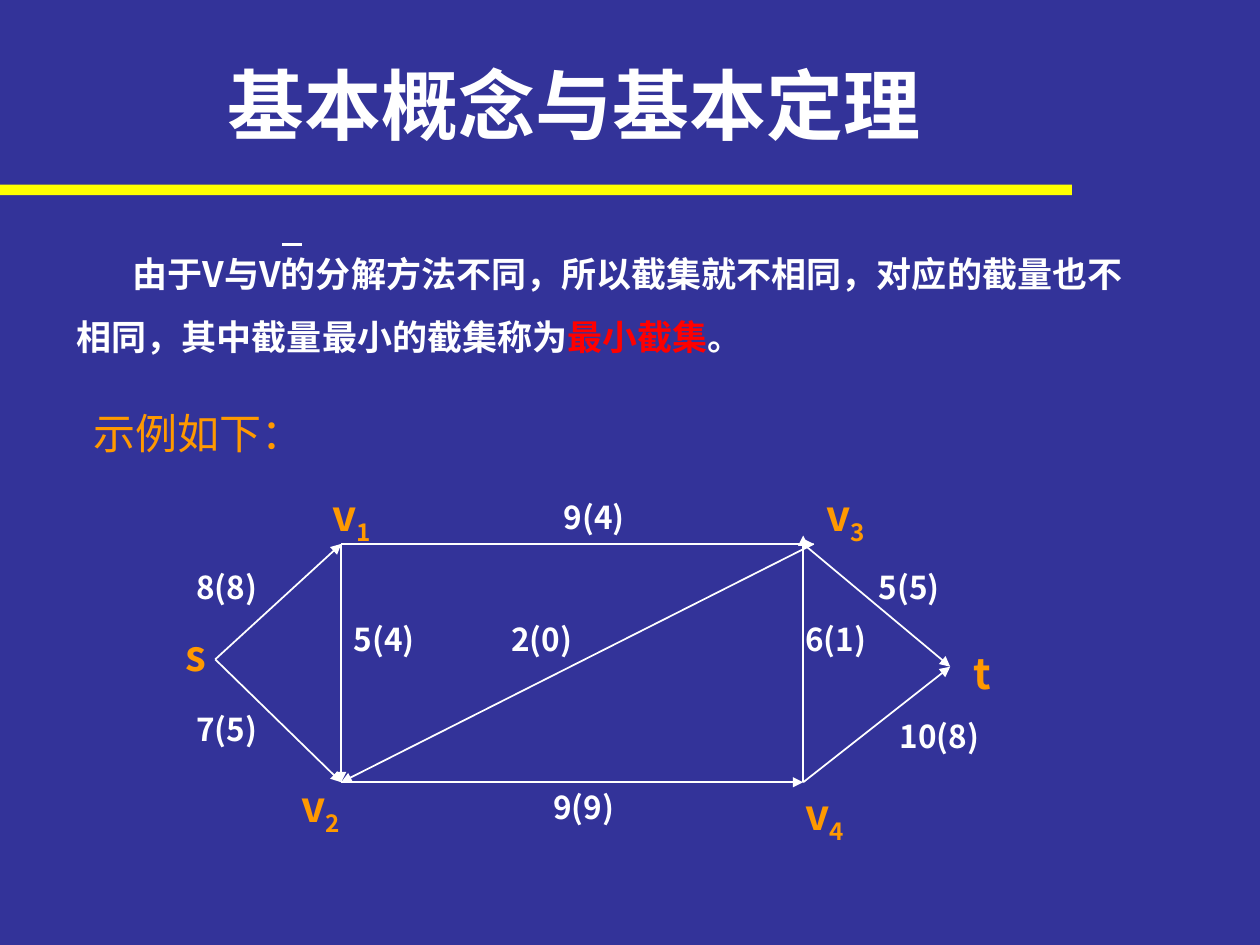
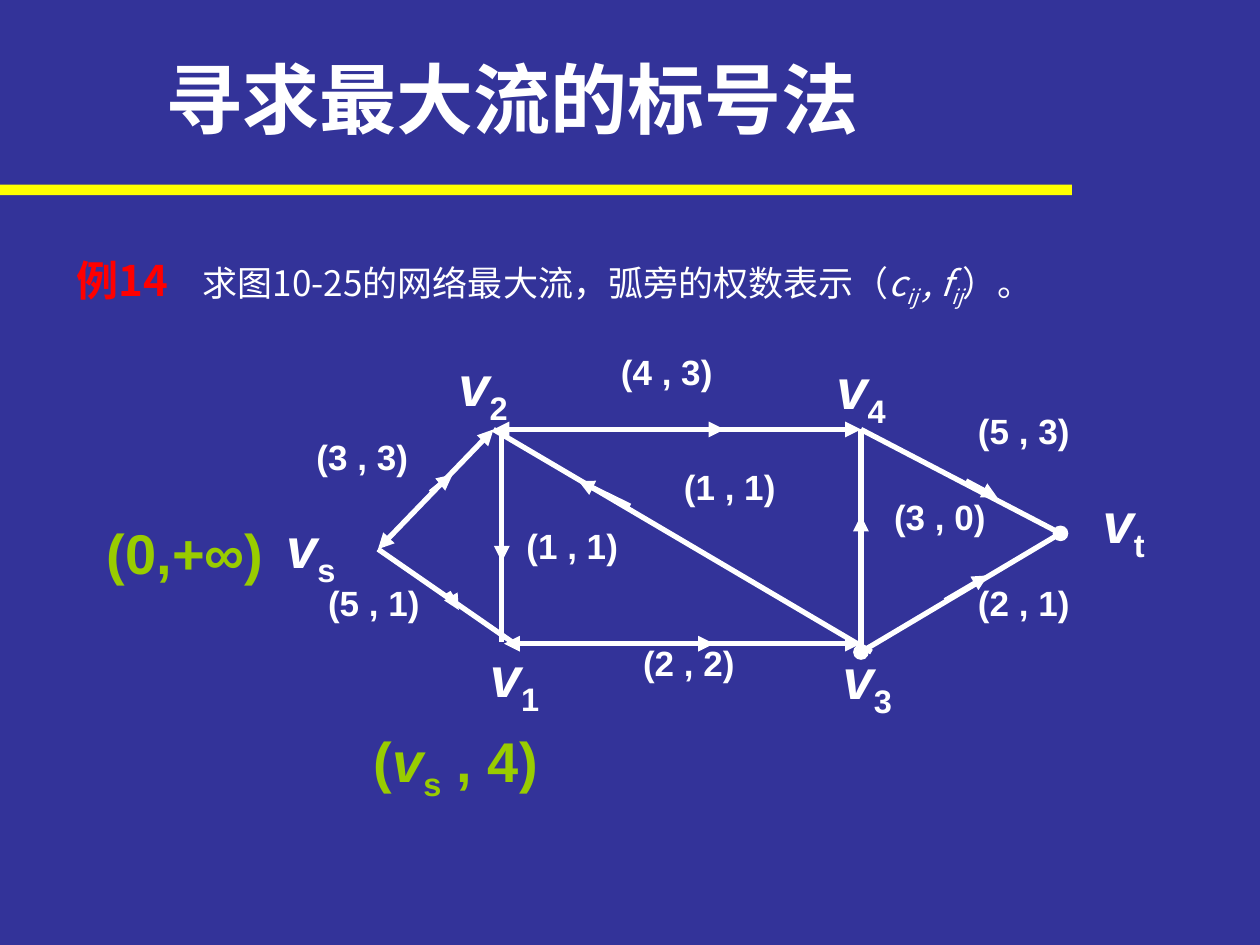
from lxml.etree import SubElement
from pptx import Presentation
from pptx.dml.color import RGBColor
from pptx.enum.shapes import MSO_CONNECTOR, MSO_SHAPE
from pptx.enum.text import MSO_ANCHOR, MSO_AUTO_SIZE, PP_ALIGN
from pptx.oxml.ns import qn
from pptx.util import Inches, Pt

# The slide is a grid of 120 columns by 90 rows.
CELL = Inches(10) / 120

NAVY = RGBColor(0x33, 0x33, 0x99)
YELLOW = RGBColor(0xFF, 0xFF, 0x00)
WHITE = RGBColor(0xFF, 0xFF, 0xFF)
RED = RGBColor(0xFF, 0x00, 0x00)
ORANGE = RGBColor(0xFF, 0x99, 0x00)
GREEN = RGBColor(0x99, 0xCC, 0x00)

LATIN, CJK = "Arial", "Noto Sans CJK SC"
TITLE = dict(name=LATIN, size=Pt(44), bold=True, color=WHITE)
BODY = dict(name=CJK, size=Pt(20), bold=True, color=WHITE)
PLAIN = dict(BODY, bold=False)
EXAMPLE = dict(name=LATIN, size=Pt(24), bold=False, color=ORANGE)
NODE = dict(name=CJK, size=Pt(24), bold=True, color=ORANGE)
CAPACITY = dict(name=CJK, size=Pt(18), bold=True, color=WHITE)
VERTEX = dict(name=LATIN, size=Pt(32), bold=True, color=WHITE)
WEIGHT = dict(VERTEX, size=Pt(20))
MARK = dict(VERTEX, color=GREEN)
SUB = dict(sub=True)
ITALIC = dict(italic=True)


def grid(*cells):
    return [round(c * CELL) for c in cells]


def add_run(p, text, style):
    r = p.add_run()
    r.text = text
    for key, value in style.items():
        if key == "color":
            r.font.color.rgb = value
        elif key != "sub":
            setattr(r.font, key, value)
    rPr = r._r.get_or_add_rPr()
    if style.get("sub"):
        rPr.set("baseline", "-25000")
    SubElement(rPr, qn("a:ea"), typeface=CJK)


def write(sp, runs, style, align=PP_ALIGN.LEFT):
    """Fill the first paragraph with (text, style changes) runs."""
    tf = sp.text_frame
    formats = dict(word_wrap=True, auto_size=MSO_AUTO_SIZE.NONE,
                   vertical_anchor=MSO_ANCHOR.TOP)
    for key, value in formats.items():
        setattr(tf, key, value)
    p = tf.paragraphs[0]
    p.alignment = align
    for text, changes in runs:
        add_run(p, text, {**style, **changes})
    return p


def place(sp, box):
    for key, value in zip(("left", "top", "width", "height"), grid(*box)):
        setattr(sp, key, value)


def add_label(s, box, runs, style, align=PP_ALIGN.LEFT):
    write(s.shapes.add_textbox(*grid(*box)), runs, style, align)


def add_labels(s, size, labels, style, align=PP_ALIGN.LEFT):
    """Labels of one size; a second letter after the name is a subscript."""
    for text, corner, *sub in labels:
        name_style = ITALIC if style is VERTEX else {}
        runs = [(text, name_style)] + [(t, SUB) for t in sub]
        add_label(s, (*corner, *size), runs, style, align)


def add_line(s, start, end, width, head=None, tail=None):
    line = s.shapes.add_connector(MSO_CONNECTOR.STRAIGHT, *grid(*start, *end))
    line.line.color.rgb = WHITE
    line.line.width = Pt(width)
    ln = line.line._get_or_add_ln()
    for tag, kind in (("a:headEnd", head), ("a:tailEnd", tail)):
        if kind:
            SubElement(ln, qn(tag), type=kind)
    SubElement(line._element.spPr, qn("a:effectLst"))


def add_body(s, box, runs, indent=0, tab=None, spacing=1.0):
    body = s.placeholders[1]
    place(body, box)
    p = write(body, runs, BODY)
    pPr = p._p.get_or_add_pPr()
    pPr.set("marL", "0")
    pPr.set("indent", str(grid(indent)[0]))
    SubElement(pPr, qn("a:buNone"))
    if tab:
        tabs = SubElement(pPr, qn("a:tabLst"))
        SubElement(tabs, qn("a:tab"), pos=str(grid(tab)[0]), algn="l")
    p.line_spacing = spacing
    p.space_before = Pt(0)


def new_slide(prs, title, box):
    s = prs.slides.add_slide(prs.slide_layouts[1])
    place(s.shapes.title, box)
    write(s.shapes.title, [(title, {})], TITLE)
    band = s.shapes.add_shape(MSO_SHAPE.RECTANGLE, *grid(0, 17.6, 102.1, 1))
    band.shadow.inherit = False
    band.fill.solid()
    band.fill.fore_color.rgb = YELLOW
    band.line.fill.background()
    return s


def minimum_cut(prs):
    s = new_slide(prs, "基本概念与基本定理", (20.5, 4.9, 76.3, 10.1))
    add_body(s, (6.1, 21.4, 103, 13.2), [
        ("由于V与V的分解方法不同，所以截集就不相同，对应的截量也不相同，"
         "其中截量最小的截集称为", {}),
        ("最小截集", dict(color=RED)), ("。", {})], indent=5.3, spacing=1.5)
    add_line(s, (26.9, 23.3), (28.8, 23.3), 2)
    add_label(s, (7.7, 38.2, 25, 6), [("示例如下：", {})], EXAMPLE)

    left, right, top, bottom = 32.5, 76.5, 51.8, 74.5
    source, sink = (20.5, 62.8), (90.5, 63.5)
    v1, v2, v3, v4 = (left, top), (left, bottom), (right, top), (right, bottom)
    v3_tip = (right + 1, top)
    for start, end in ((source, v1), (source, v2), (v1, v2), (v1, v3_tip),
                       (v3_tip, v2), (v2, v4), (v4, (right, top - 0.8)),
                       (v3, sink), (v4, sink)):
        add_line(s, start, end, 1, tail="triangle")

    add_labels(s, (10, 6), [
        ("s", (16.5, 59.4)), ("t", (91.5, 61.1)),
        ("v", (30.5, 46), "1"), ("v", (27.5, 73.7), "2"),
        ("v", (77.5, 46), "3"), ("v", (75.5, 74.5), "4")], NODE)
    add_labels(s, (14, 4.8), [
        ("8(8)", (17.5, 53.5)), ("7(5)", (17.5, 67)), ("9(4)", (52.5, 46.8)),
        ("5(4)", (32.5, 58.5)), ("2(0)", (47.5, 58.5)), ("9(9)", (51.5, 74.5)),
        ("6(1)", (75.5, 58.5)), ("5(5)", (82.5, 53.5)),
        ("10(8)", (84.5, 67.7))], CAPACITY)


def labelling_method(prs):
    s = new_slide(prs, "寻求最大流的标号法", (14.6, 4.3, 87.8, 10.1))
    formula = dict(PLAIN, italic=True)
    add_body(s, (6.1, 25.1, 107, 4.3), [
        ("例14\t", dict(size=Pt(24), color=RED)),
        ("求图10-25的网络最大流，弧旁的权数表示（", PLAIN),
        ("c", formula), ("ij ", {**formula, **SUB}),
        (", f", formula), ("ij", {**formula, **SUB}),
        ("）。", PLAIN)], tab=13.4, spacing=0.6)

    top, bottom, right = 40.9, 61.3, 82
    source, sink = (36, 52.3), (101, 50.8)
    v2, v4, v3 = (47, top), (right, top), (right, 62.1)
    both = dict(head="triangle", tail="triangle")
    for start, end, ends in (
            (source, v2, both), (source, (49, bottom), {}), (v2, v4, both),
            ((48, bottom), (right, bottom), both), (v4, v3, {}),
            (v4, sink, {}), (sink, v3, dict(head="oval", tail="oval")),
            ((47.8, 41.3), (47.8, 61.1), {}), (v2, (83, 62.1), {})):
        add_line(s, start, end, 3, **ends)

    for start, end in (
            ((41, 46.9), (43.1, 45.2)), ((42.7, 56.4), (43.7, 58.1)),
            ((63, top), (69, top)), ((61, bottom), (68, bottom)),
            ((60, 48.2), (55.1, 45.8)), ((right, 53.2), (right, 49.1)),
            ((92, 45.8), (95, 47.4)), ((90, 57.2), (94.1, 54.8)),
            ((47.8, 47.9), (47.8, 53.5))):
        add_line(s, start, end, 3, tail="triangle")

    add_labels(s, (10, 8.5), [
        ("v", (24.6, 48.2), "s"), ("v", (44, 60.5), "1"),
        ("v", (41, 32.8), "2"), ("v", (77.6, 60.7), "3"),
        ("v", (77, 33.1), "4"), ("v", (102, 45.8), "t")],
        VERTEX, PP_ALIGN.CENTER)
    add_labels(s, (15, 5.3), [
        ("(3 , 3)", (27, 40.9)), ("(5 , 1)", (28.1, 54.8)),
        ("(4 , 3)", (56, 32.8)), ("(1 , 1)", (62, 43.7)),
        ("(1 , 1)", (47, 49.4)), ("(2 , 2)", (58.1, 60.5)),
        ("(3 , 0)", (82, 46.6)), ("(5 , 3)", (90, 38.4)),
        ("(2 , 1)", (90, 54.8))], WEIGHT, PP_ALIGN.CENTER)
    add_label(s, (34.4, 68.6, 21, 8.5),
              [("(", {}), ("v", ITALIC), ("s", SUB), (" , 4)", {})], MARK)
    add_label(s, (9, 48.8, 18.8, 7.7), [("(0,+∞)", {})], MARK)


def main():
    prs = Presentation()
    prs.slide_width, prs.slide_height = grid(120, 90)
    fill = prs.slide_master.background.fill
    fill.solid()
    fill.fore_color.rgb = NAVY
    minimum_cut(prs)
    labelling_method(prs)
    prs.save("out.pptx")


if __name__ == "__main__":
    main()
